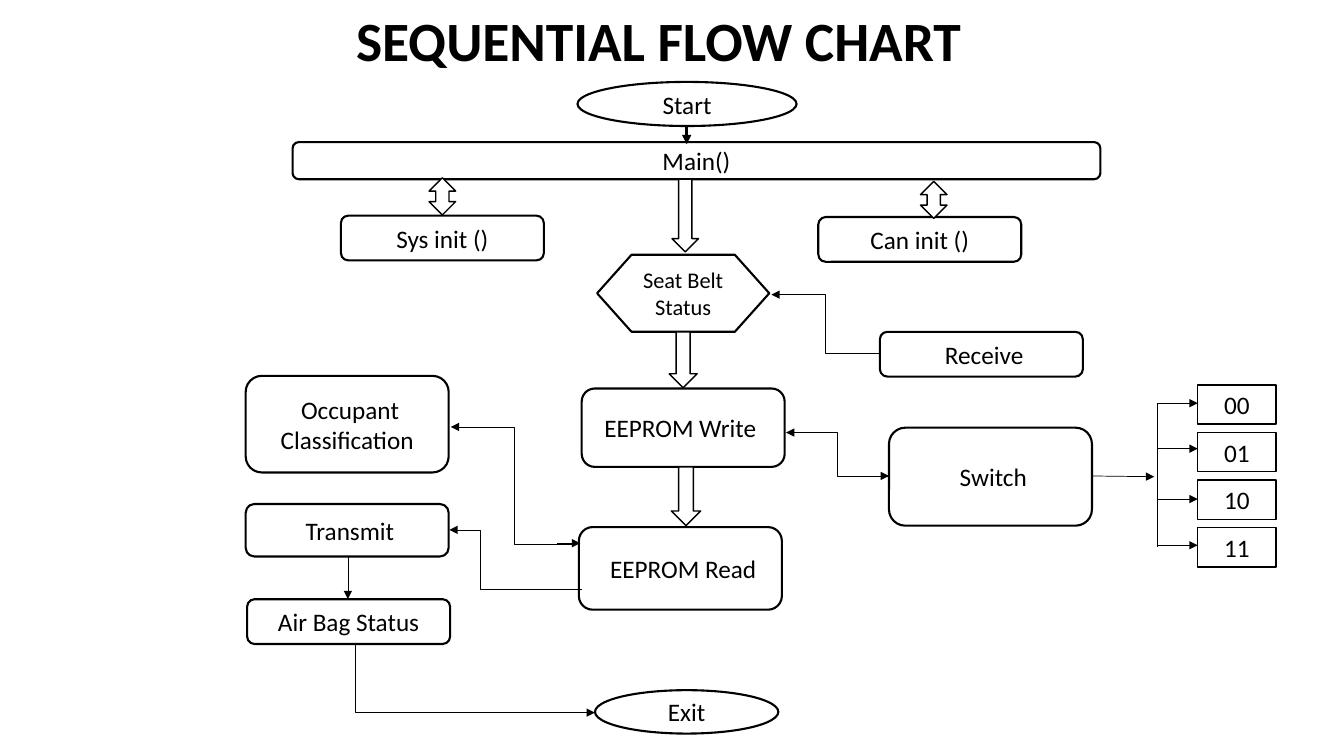
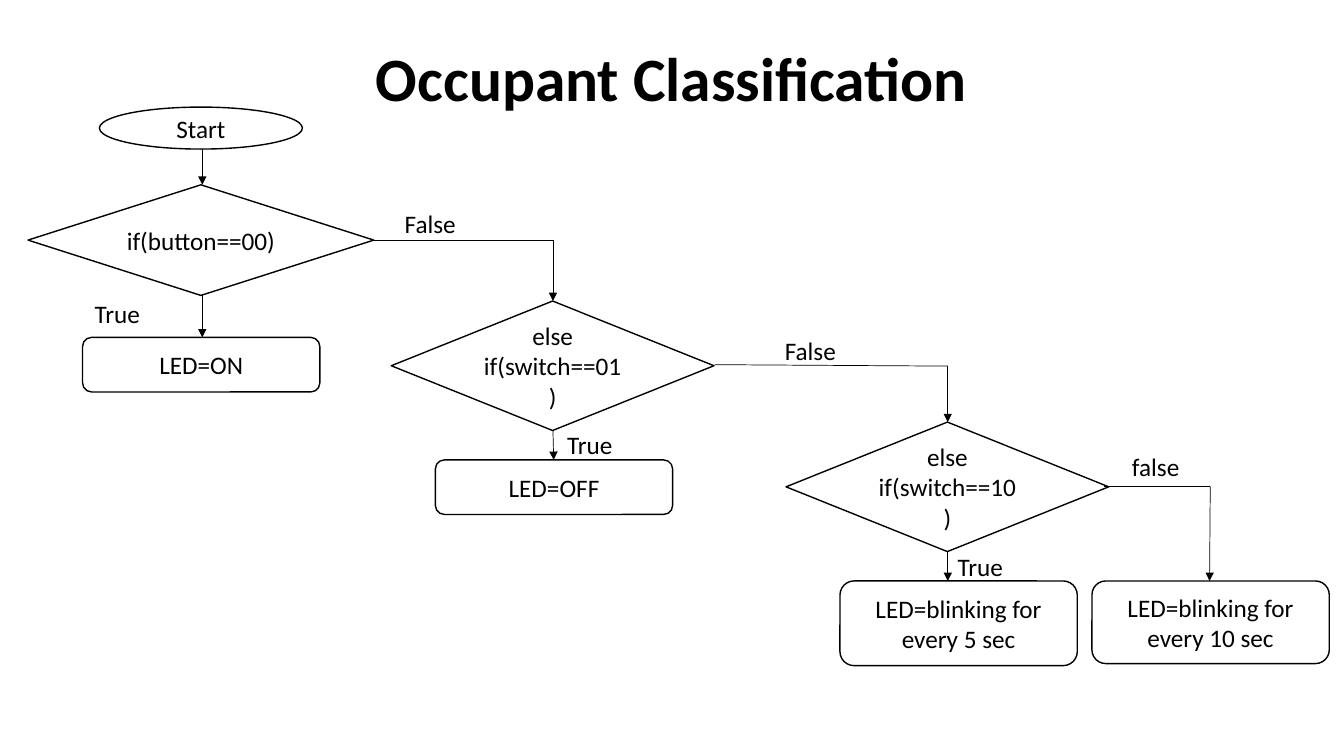
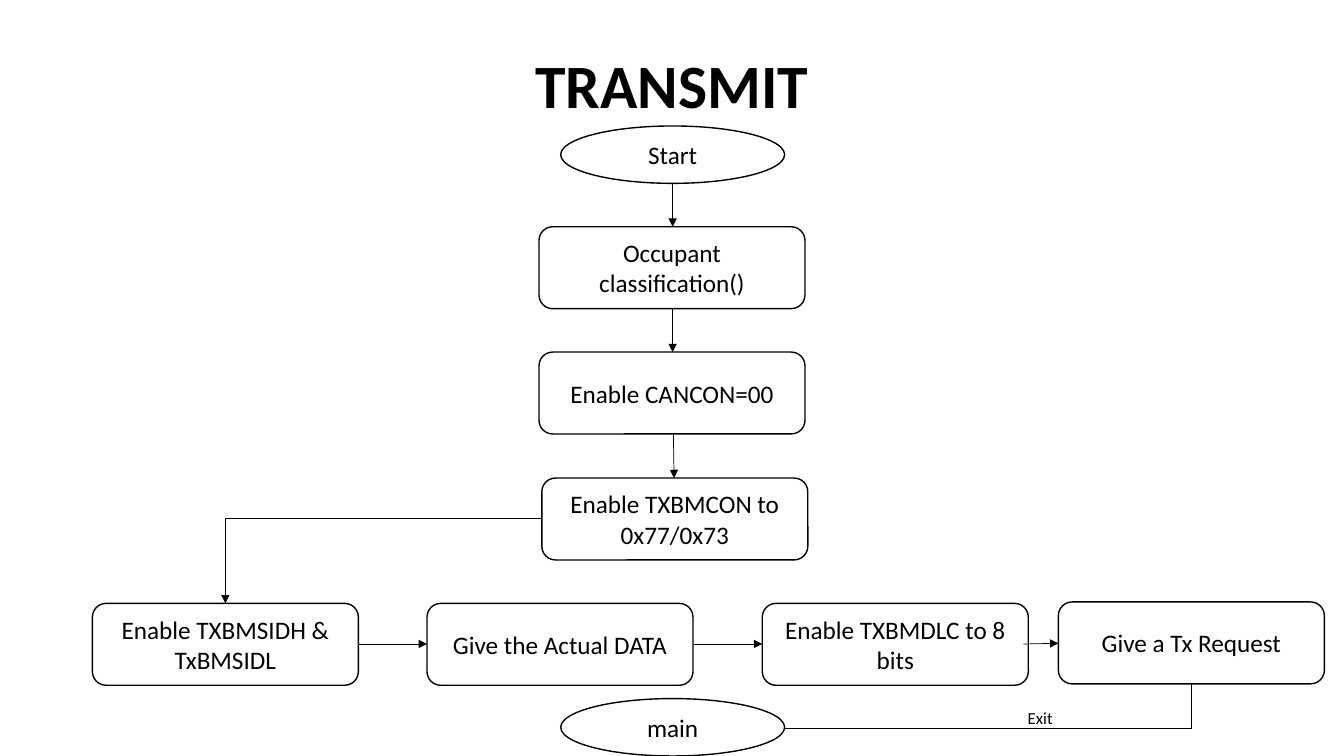
from typing import NamedTuple

from lxml.etree import SubElement
from pptx import Presentation
from pptx.dml.color import RGBColor
from pptx.enum.shapes import MSO_CONNECTOR as Link, MSO_SHAPE as Form
from pptx.enum.text import MSO_ANCHOR as Anchor, PP_ALIGN as Align
from pptx.oxml.ns import qn
from pptx.util import Pt

COLOR = {"ink": "000000", "paper": "FFFFFF"}
FONT = "Calibri"


class Node(NamedTuple):
    x: float
    y: float
    w: float
    h: float
    text: str = ""
    form: Form = Form.ROUNDED_RECTANGLE
    size: float = 18


class Line(NamedTuple):
    x1: float
    y1: float
    x2: float
    y2: float
    head: bool = True
    bend: float = 0  # share of the width before an elbow turns; 0 is straight
    width: float = 0.5


class Label(NamedTuple):
    x: float
    y: float
    text: str
    w: float = 72
    h: float = 28.8
    size: float = 18
    wrap: bool = True


# Shared drawing functions
def rgb(name: str) -> RGBColor:
    return RGBColor.from_string(COLOR[name])


def write(frame, text: str, *, size: float = 18, bold: bool = False,
          align=Align.CENTER, anchor=Anchor.MIDDLE,
          wrap: bool = True, space: float = 1) -> None:
    frame.word_wrap = wrap
    frame.vertical_anchor = anchor
    for i, part in enumerate(text.split("\n")):
        para = frame.add_paragraph() if i else frame.paragraphs[0]
        para.alignment = align
        para.line_spacing = space
        run = para.add_run()
        run.text = part
        font = run.font
        font.name, font.size, font.bold = FONT, Pt(size), bold
        font.color.rgb = rgb("ink")


def add_box(slide, x: float, y: float, w: float, h: float):
    return slide.shapes.add_textbox(Pt(x), Pt(y), Pt(w), Pt(h))


def add_title(slide, text: str, y: float, h: float, size: float) -> None:
    box = add_box(slide, 66, y, 828 if size == 44 else 818, h)
    write(box.text_frame, text, size=size, bold=True, space=0.9)


def add_node(slide, node: Node, edge: float) -> None:
    shape = slide.shapes.add_shape(
        node.form, Pt(node.x), Pt(node.y), Pt(node.w), Pt(node.h))
    shape.shadow.inherit = False
    shape.fill.solid()
    shape.fill.fore_color.rgb = rgb("paper")
    shape.line.color.rgb = rgb("ink")
    shape.line.width = Pt(edge)
    if node.text:
        write(shape.text_frame, node.text, size=node.size)


def add_line(slide, line: Line) -> None:
    kind = Link.ELBOW if line.bend else Link.STRAIGHT
    link = slide.shapes.add_connector(
        kind, Pt(line.x1), Pt(line.y1), Pt(line.x2), Pt(line.y2))
    link.line.color.rgb = rgb("ink")
    link.line.width = Pt(line.width)
    props = link.element.spPr
    if line.head:
        SubElement(props.find(qn("a:ln")), qn("a:tailEnd"), type="triangle")
    if line.bend:
        geom = props.find(qn("a:prstGeom"))
        SubElement(geom.find(qn("a:avLst")), qn("a:gd"), name="adj1",
                   fmla=f"val {round(line.bend * 100000)}")
    SubElement(props, qn("a:effectLst"))


def add_label(slide, label: Label) -> None:
    box = add_box(slide, label.x, label.y, label.w, label.h)
    write(box.text_frame, label.text, size=label.size, align=Align.LEFT,
          anchor=Anchor.TOP, wrap=label.wrap)


def draw(slide, nodes: list[Node], lines: list[Line],
         labels: list[Label], edge: float = 1) -> None:
    for node in nodes:
        add_node(slide, node, edge)
    for line in lines:
        add_line(slide, line)
    for label in labels:
        add_label(slide, label)


deck = Presentation()
deck.slide_width, deck.slide_height = Pt(960), Pt(540)
blank = deck.slide_layouts[6]

# Slide 1: sequential flow
flow = deck.slides.add_slide(blank)
add_title(flow, "SEQUENTIAL FLOW CHART ", 15, 32.5, 39.6)
STEP = 145  # width of a step box
steps = [
    Node(412.5, 58.5, 156.5, 31.5, "Start", Form.OVAL),
    Node(209, 101.5, 577, 26.5, "Main()"),
    Node(243.5, 154, STEP, 32, "Sys init ()"),
    Node(584.5, 155, STEP, 32, "Can init ()"),
    Node(415.5, 277.5, STEP, 56, "EEPROM Write "),
    Node(413.5, 376.5, STEP, 59, " EEPROM Read"),
    Node(635, 305.5, STEP, 70, " Switch"),
    Node(175.5, 268.5, STEP, 69, " Occupant Classification"),
    Node(628.5, 237, STEP, 32, " Receive"),
    Node(175.5, 360, STEP, 37.5, " Transmit"),
    Node(176.5, 428, STEP, 32, "Air Bag Status"),
    Node(425, 493, 131, 31, "Exit", Form.OVAL),
    Node(426.5, 182, 123, 55, "Seat Belt Status",
         Form.FLOWCHART_PREPARATION, 16),
]
links = [
    Line(490.5, 90.5, 490.5, 103, width=2.25),
    Line(628.5, 252.5, 551, 210.5, bend=0.5),
    Line(635, 340, 561.5, 309, bend=0.5),
    Line(618.5, 340, 635, 340),
    Line(412.5, 389, 322, 305, bend=0.5),
    Line(398, 388, 414.5, 388),
    Line(249, 460, 425, 509, bend=0.026),
    Line(415.5, 421, 321, 378.5, bend=0.764),
    Line(248.5, 397.5, 248.5, 428),
    Line(780, 340, 824.5, 340.5),
    Line(826.5, 288, 826.5, 391, head=False),
]
links += [Line(826.5, y, 855.5, y) for y in (288, 320.5, 356.5, 389.5)]
draw(flow, steps, links, [], edge=1.5)

# Block arrows and switch codes have a thinner edge
blocks = [
    Node(657.5, 129.5, 19, 26.5, form=Form.UP_DOWN_ARROW),
    Node(306.5, 127, 19, 26.5, form=Form.UP_DOWN_ARROW),
    Node(480, 128, 19, 52, form=Form.DOWN_ARROW),
    Node(479.5, 333.5, 21, 42, form=Form.DOWN_ARROW),
    Node(478, 237, 20, 40, form=Form.DOWN_ARROW),
]
codes = [Node(855.5, 275 + 34 * i, 56, 28, code, Form.RECTANGLE)
         for i, code in enumerate(("00", "01", "10", "11"))]
draw(flow, blocks + codes, [], [])

# Slide 2: occupant classes
seat = deck.slides.add_slide(blank)
add_title(seat, "Occupant Classification", 29, 59, 44)
LED = 169.5  # width of a result box
tests = [
    Node(71, 76.5, 145, 30, "Start", Form.OVAL),
    Node(20, 132, 247, 79, "if(button==00)", Form.FLOWCHART_DECISION),
    Node(279.5, 215, 230.5, 92.5, "else if(switch==01)",
         Form.FLOWCHART_DECISION),
    Node(561.5, 301.5, 230.5, 92.5, "else if(switch==10)",
         Form.FLOWCHART_DECISION),
    Node(59, 241, LED, 39, "LED=ON"),
    Node(311, 328.5, LED, 39, "LED=OFF"),
    Node(600, 415, LED, 60.5, "LED=blinking for every 5 sec"),
    Node(780, 415, LED, 59, "LED=blinking for every 10 sec"),
]
paths = [
    Line(144.5, 106.5, 144.5, 132),
    Line(144.5, 211, 144.5, 241),
    Line(267, 171.5, 395, 171.5, head=False),
    Line(395, 171.5, 395, 215),
    Line(395, 307.5, 395.5, 328.5),
    Line(510.5, 260.5, 677, 261.5, head=False),
    Line(677, 261.5, 677, 301.5),
    Line(677, 394, 677, 415),
    Line(788.5, 347.5, 864.5, 347.5, head=False),
    Line(864.5, 347.5, 864, 415),
]
marks = [
    Label(60.5, 209.5, "True"),
    Label(282, 145.5, "False"),
    Label(398, 303, "True"),
    Label(553.5, 236, "False"),
    Label(677, 390, "True"),
    Label(801.5, 319, "false"),
]
draw(seat, tests, paths, marks)

# Slide 3: transmit
send = deck.slides.add_slide(blank)
add_title(send, "TRANSMIT", 29, 69, 44)
WIDE, TALL = 190, 58.5  # size of a task box
tasks = [
    Node(400.5, 90, 160, 41, "Start", Form.OVAL),
    Node(400.5, 499, 160, 41, "main", Form.OVAL),
]
tasks += [Node(x, y, WIDE, TALL, text) for x, y, text in (
    (385, 162, "Occupant classification()"),
    (385, 251.5, "Enable CANCON=00"),
    (387, 341.5, "Enable TXBMCON to 0x77/0x73"),
    (66, 431, "Enable TXBMSIDH &\nTxBMSIDL"),
    (305, 431, "Give the Actual DATA"),
    (544.5, 431, "Enable TXBMDLC to 8 bits"),
    (756, 430, "Give a Tx Request"),
)]
wires = [
    Line(480.5, 130.5, 480.5, 162),
    Line(480.5, 220.5, 480.5, 251.5),
    Line(481, 310, 481.5, 341.5),
    Line(387, 370, 161, 370, head=False),
    Line(161, 370, 161, 431),
    Line(255.5, 460, 305, 460),
    Line(495.5, 460, 544.5, 460),
    Line(731, 460, 756, 459.5),
    Line(560.5, 520, 851, 520, head=False),
    Line(851, 488, 851, 520.5, head=False),
]
draw(send, tasks, wires, [Label(727, 502, "Exit", 32.5, 21.5, 12, False)])

deck.save("out.pptx")
